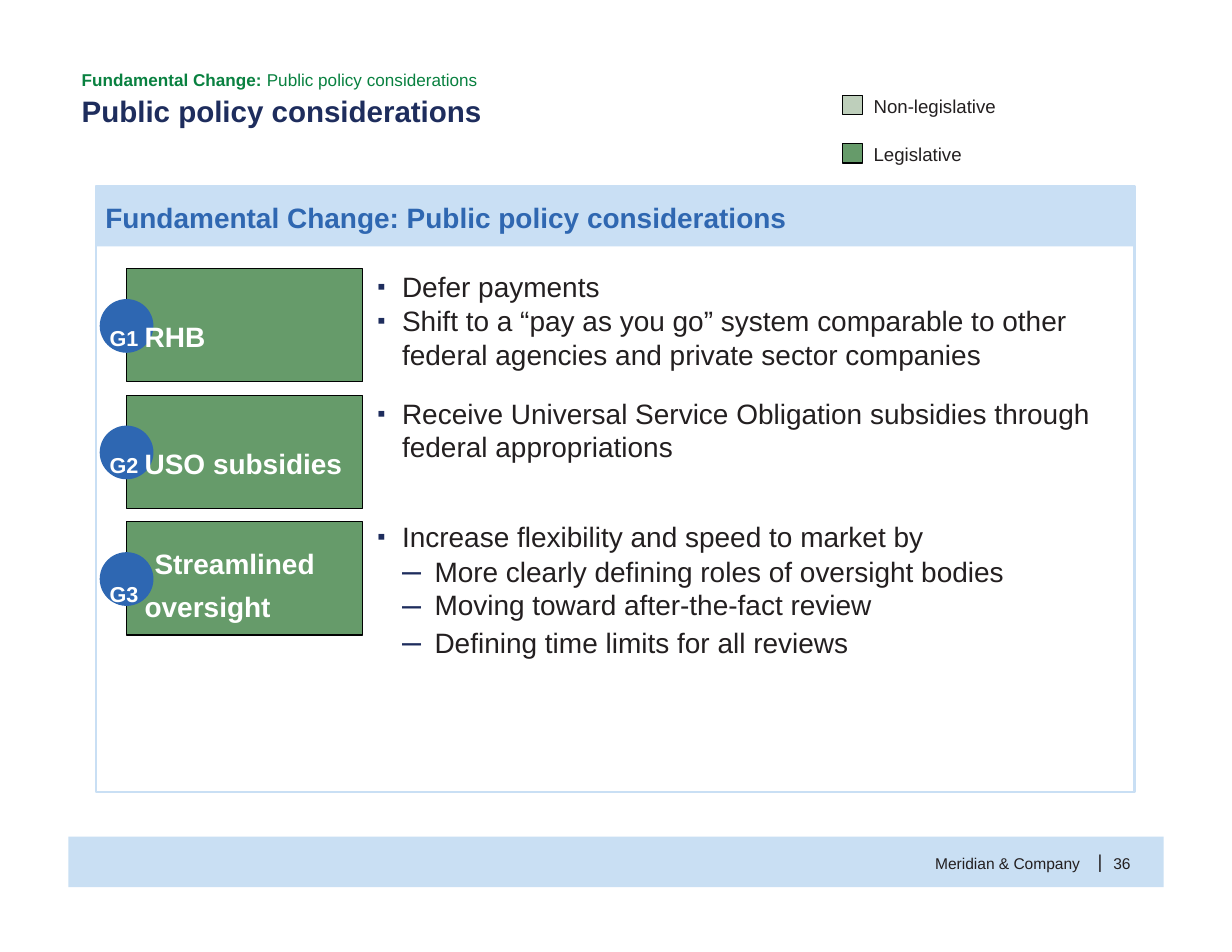
from lxml.etree import SubElement
from pptx import Presentation
from pptx.dml.color import RGBColor
from pptx.enum.shapes import MSO_SHAPE
from pptx.enum.text import MSO_ANCHOR
from pptx.oxml.ns import qn
from pptx.util import Inches, Pt

THEME = {
    "font": "Arial",
    "color": {
        "band": "C9DFF3", "panel": "C9DFF4", "badge": "2E67B2",
        "legislative": "669B6A", "non_legislative": "BECFBB",
        "outline": "010202", "bullet": "1E2D5D",
    },
    # size, colour, bold
    "text": {
        "tracker_bold": (11, "098140", True),
        "tracker": (11, "098140", False),
        "title": (19, "1E2D5D", True),
        "heading": (18, "2F67B1", True),
        "label": (18, "FFFFFF", True),
        "number": (24, "FFFFFF", True),
        "body": (18, "231F20", False),
        "legend": (12, "231F20", False),
        "footer": (10, "231F20", False),
    },
}
COLOR = THEME["color"]

deck = Presentation()
deck.slide_width, deck.slide_height = Inches(11), Inches(8.5)
page = deck.slides.add_slide(deck.slide_layouts[6])

# Grid of 110 columns by 85 rows
COLUMN = deck.slide_width / 110
ROW = deck.slide_height / 85


def add_frame(left, top, width, height):
    box = page.shapes.add_textbox(
        round(left * COLUMN), round(top * ROW), round(width * COLUMN), round(height * ROW))
    frame = box.text_frame
    frame.word_wrap = True
    frame.vertical_anchor = MSO_ANCHOR.TOP
    frame.margin_left = frame.margin_right = frame.margin_bottom = 0
    frame.margin_top = Inches(0.03)
    return frame


def add_span(para, text, style, raised=0):
    span = para.add_run()
    span.text = text
    size, color, bold = THEME["text"][style]
    span.font.name = THEME["font"]
    span.font.size = Pt(size)
    span.font.bold = bold
    span.font.color.rgb = RGBColor.from_string(color)
    if raised:
        span.font._element.set("baseline", str(raised * 1000))


# Lever rows and legend rows share their geometry with their labels
FIRST_LEVER, LEVER_STEP = 24, 11.3
levers = [FIRST_LEVER + LEVER_STEP * index for index in range(3)]
legend = [(8.5, "Non-legislative", "non_legislative"), (12.8, "Legislative", "legislative")]

# Shapes: kind, left, top, width, height, fill, outline, outline width
RECTANGLE, OVAL = MSO_SHAPE.RECTANGLE, MSO_SHAPE.OVAL
shapes = [
    (RECTANGLE, 6.1, 74.7, 97.8, 4.5, "band", None, 0),
    (RECTANGLE, 8.6, 16.6, 92.7, 54.1, None, "panel", 1.5),
    (RECTANGLE, 8.6, 16.6, 92.7, 5.4, "panel", None, 0),
]
for top in levers:
    shapes.append((RECTANGLE, 11.3, top, 21.1, 10.1, "legislative", "outline", 0.75))
    shapes.append((OVAL, 8.9, top + 2.7, 4.8, 4.8, "badge", None, 0))
for top, name, fill in legend:
    shapes.append((RECTANGLE, 75.2, top, 1.8, 1.75, fill, "outline", 0.75))

for kind, left, top, width, height, fill, outline, weight in shapes:
    shape = page.shapes.add_shape(
        kind, round(left * COLUMN), round(top * ROW), round(width * COLUMN), round(height * ROW))
    shape.shadow.inherit = False
    if fill:
        shape.fill.solid()
        shape.fill.fore_color.rgb = RGBColor.from_string(COLOR[fill])
    else:
        shape.fill.background()
    if outline:
        shape.line.color.rgb = RGBColor.from_string(COLOR[outline])
        shape.line.width = Pt(weight)
    else:
        shape.line.fill.background()

# Tracker and title
frame = add_frame(7.3, 5.9, 37, 5.7)
para = frame.paragraphs[0]
add_span(para, "Fundamental Change: ", "tracker_bold")
add_span(para, "Public policy considerations", "tracker")
para = frame.add_paragraph()
para.space_before = Pt(2)
add_span(para, "Public policy considerations", "title")

# Single-line texts: panel heading, legend and footer
lines = [
    (9.4, 17.6, 62, 3.3, "Fundamental Change: Public policy considerations", "heading"),
    (83.5, 75.9, 14, 2.1, "Meridian & Company", "footer"),
    (98, 75.6, 0.7, 2.5, "|", "legend"),
    (99.4, 75.9, 2.1, 2.1, "36", "footer"),
]
lines += [(78, top - 0.3, 11.5, 2.3, name, "legend") for top, name, fill in legend]
for left, top, width, height, text, style in lines:
    add_span(add_frame(left, top, width, height).paragraphs[0], text, style)

# Lever labels: number, name, offset in the block, raise of the number in percent
labels = [("G1 ", "RHB", 3.4, 2), ("G2 ", "USO subsidies", 3.4, 2), ("G3 ", "oversight", 4.9, 40)]
for top, (number, name, offset, raised) in zip(levers, labels):
    para = add_frame(9.8, top + offset, 22.4, 3.3).paragraphs[0]
    add_span(para, number, "number", raised)
    add_span(para, name, "label")
add_span(add_frame(13.8, levers[2] + 1.9, 15, 3.3).paragraphs[0], "Streamlined", "label")

# Bulleted texts: level, space before, line height, text
BULLETS = [("▪", 83, 0.22, 0.22), ("–", 122, 0.51, 0.29)]
bullet_boxes = [
    (33.7, 23.8, 64, 17.6, [
        (0, 0, None, "Defer payments"),
        (0, 0, None, "Shift to a “pay as you go” system comparable to other "
                     "federal agencies and private sector companies"),
        (0, 16.5, None, "Receive Universal Service Obligation subsidies through "
                        "federal appropriations"),
    ]),
    (33.7, 46.4, 60, 12.4, [
        (0, 0, 19.6, "Increase flexibility and speed to market by"),
        (1, 0, 22.1, "More clearly defining roles of oversight bodies"),
        (1, 0, 21.6, "Moving toward after-the-fact review"),
        (1, 0, 24, "Defining time limits for all reviews"),
    ]),
]
for left, top, width, height, items in bullet_boxes:
    frame = add_frame(left, top, width, height)
    for index, (level, before, line_height, text) in enumerate(items):
        para = frame.add_paragraph() if index else frame.paragraphs[0]
        para.level = level
        symbol, percent, indent, hanging = BULLETS[level]
        properties = para._p.get_or_add_pPr()
        properties.set("marL", str(Inches(indent)))
        properties.set("indent", str(-Inches(hanging)))
        tint = SubElement(properties, qn("a:buClr"))
        SubElement(tint, qn("a:srgbClr"), val=COLOR["bullet"])
        SubElement(properties, qn("a:buSzPct"), val=str(percent * 1000))
        SubElement(properties, qn("a:buFont"), typeface=THEME["font"])
        SubElement(properties, qn("a:buChar"), char=symbol)
        para.space_before = Pt(before)
        if line_height:
            para.line_spacing = Pt(line_height)
        add_span(para, text, "body")

deck.save("out.pptx")
